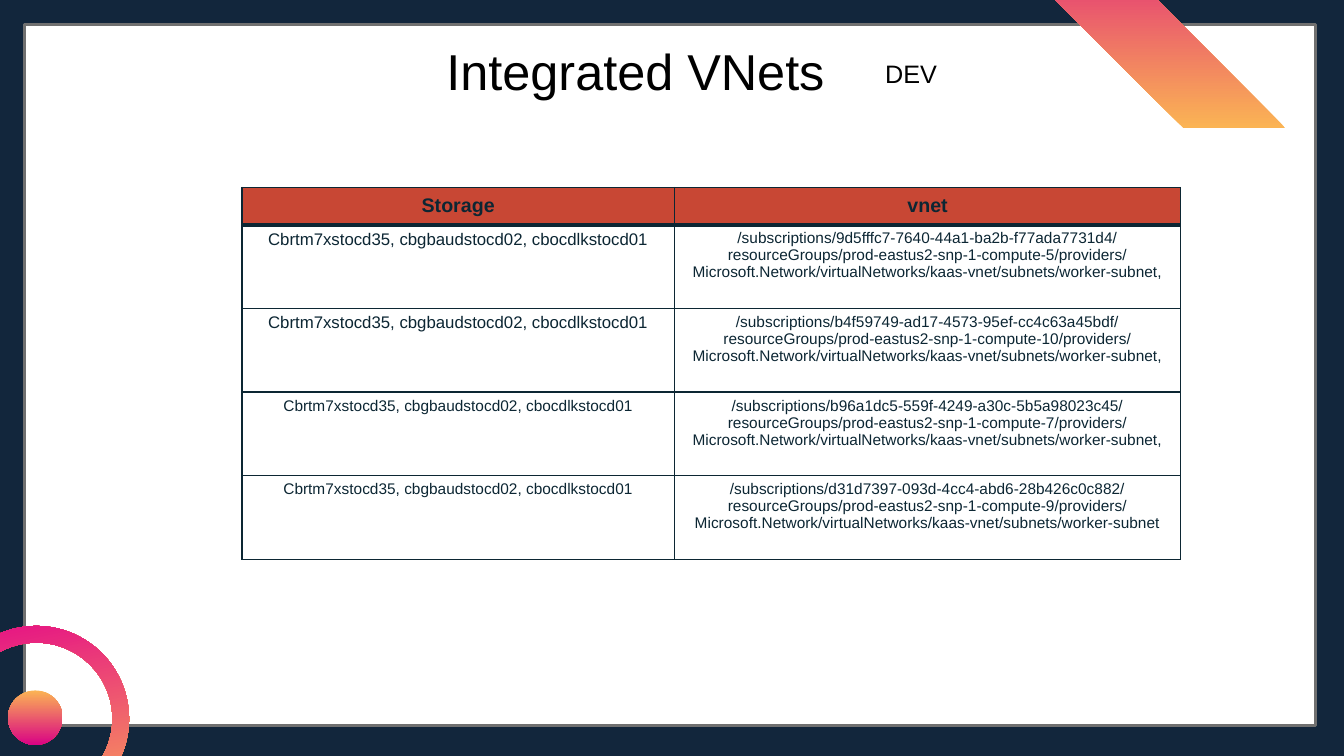
from dataclasses import dataclass

from lxml.etree import SubElement
from pptx import Presentation
from pptx.dml.color import RGBColor
from pptx.enum.shapes import MSO_SHAPE
from pptx.enum.text import MSO_ANCHOR, PP_ALIGN
from pptx.oxml.ns import qn
from pptx.util import Emu, Pt

EMU_PER_PX = 9144  # 100 px to the inch
FONT = "Arial"
NAVY = "12263C"
INK = "0C2633"
BRICK = "C84734"
ORANGE = "FBB454"
STORAGE = "Cbrtm7xstocd35, cbgbaudstocd02, cbocdlkstocd01"


@dataclass(frozen=True)
class Box:
    left: int
    top: int
    width: int
    height: int

    def emu(self) -> tuple:
        return tuple(map(px, (self.left, self.top, self.width, self.height)))


@dataclass(frozen=True)
class Ornament:
    preset: MSO_SHAPE
    box: Box
    end_color: str
    end_position: float = 1.0
    rotation: float = 0
    adjustment: float | None = None
    mirrored: bool = False


@dataclass(frozen=True)
class Label:
    text: str
    box: Box
    size: int
    anchor: MSO_ANCHOR
    line_spacing: float = 1.0


@dataclass(frozen=True)
class VnetRow:
    storage_size: int
    subscription: str
    compute: int
    ending: str = ","

    def vnet(self) -> str:
        return (f"/subscriptions/{self.subscription}/resourceGroups/"
                f"prod-eastus2-snp-1-compute-{self.compute}/providers/"
                f"Microsoft.Network/virtualNetworks/kaas-vnet/subnets/worker-subnet{self.ending}")


PANEL = Box(24, 24, 1281, 696)
ORNAMENTS = [
    Ornament(MSO_SHAPE.DONUT, Box(-56, 621, 184, 184), "E3028A",
             rotation=168.5, adjustment=0.09),
    Ornament(MSO_SHAPE.OVAL, Box(8, 685, 54, 54), "D90384"),
    Ornament(MSO_SHAPE.DIAGONAL_STRIPE, Box(989, -159, 286, 286), "D90384",
             end_position=0.81, rotation=180, adjustment=0.646, mirrored=True),
]
LABELS = [
    Label("Integrated VNets", Box(433, 16, 593, 116), 36, MSO_ANCHOR.MIDDLE, 0.9),
    Label("DEV", Box(868, 53, 212, 55), 18, MSO_ANCHOR.TOP),
]
TABLE_LEFT, TABLE_TOP = 240, 186
COLUMN_WIDTHS = [429, 502]
HEADER_HEIGHT, ROW_HEIGHT = 37, 83
HEADERS = ["Storage", "vnet"]
ROWS = [
    VnetRow(12, "9d5fffc7-7640-44a1-ba2b-f77ada7731d4", 5),
    VnetRow(12, "b4f59749-ad17-4573-95ef-cc4c63a45bdf", 10),
    VnetRow(11, "b96a1dc5-559f-4249-a30c-5b5a98023c45", 7),
    VnetRow(11, "d31d7397-093d-4cc4-abd6-28b426c0c882", 9, ""),
]


def px(length: int) -> Emu:
    return Emu(length * EMU_PER_PX)


def rgb(color: str) -> RGBColor:
    return RGBColor.from_string(color)


def style_text(paragraph, size: int, color: str, bold: bool = False) -> None:
    font = paragraph.font
    font.name, font.size, font.bold = FONT, Pt(size), bold
    font.color.rgb = rgb(color)


def draw_panel(slide) -> None:
    panel = slide.shapes.add_shape(MSO_SHAPE.RECTANGLE, *PANEL.emu())
    panel.shadow.inherit = False
    panel.fill.solid()
    panel.fill.fore_color.rgb = rgb("FFFFFF")
    panel.line.color.rgb = rgb("707070")
    panel.line.width = Pt(2)


def draw_ornament(slide, ornament: Ornament) -> None:
    shape = slide.shapes.add_shape(ornament.preset, *ornament.box.emu())
    shape.shadow.inherit = False
    shape.line.fill.background()
    shape.rotation = ornament.rotation
    if ornament.adjustment is not None:
        shape.adjustments[0] = ornament.adjustment
    if ornament.mirrored:
        shape._element.spPr.find(qn("a:xfrm")).set("flipH", "1")
    shape.fill.gradient()
    shape.fill.gradient_angle = 270
    start, end = shape.fill.gradient_stops
    start.color.rgb, start.position = rgb(ORANGE), 0
    end.color.rgb, end.position = rgb(ornament.end_color), ornament.end_position


def draw_label(slide, label: Label) -> None:
    frame = slide.shapes.add_textbox(*label.box.emu()).text_frame
    frame.word_wrap = True
    frame.vertical_anchor = label.anchor
    paragraph = frame.paragraphs[0]
    paragraph.text = label.text
    paragraph.line_spacing = label.line_spacing
    style_text(paragraph, label.size, "000000")


def set_borders(cell, top: int = 1, bottom: int = 1) -> None:
    """Draw the four cell borders; call before setting the cell's fill."""
    properties = cell._tc.get_or_add_tcPr()
    for side, width in (("L", 1), ("R", 1), ("T", top), ("B", bottom)):
        line = SubElement(properties, qn(f"a:ln{side}"), w=str(Pt(width)))
        fill = SubElement(line, qn("a:solidFill"))
        SubElement(fill, qn("a:srgbClr"), val=INK)


def fill_cell(cell, text: str, size: int, bold: bool = False) -> None:
    paragraph = cell.text_frame.paragraphs[0]
    paragraph.text = text
    paragraph.alignment = PP_ALIGN.CENTER
    style_text(paragraph, size, INK, bold)


def draw_table(slide) -> None:
    box = Box(TABLE_LEFT, TABLE_TOP, sum(COLUMN_WIDTHS),
              HEADER_HEIGHT + ROW_HEIGHT * len(ROWS))
    table = slide.shapes.add_table(len(ROWS) + 1, len(HEADERS), *box.emu()).table
    table.first_row = table.horz_banding = False
    for column, width in zip(table.columns, COLUMN_WIDTHS):
        column.width = px(width)
    for index, row in enumerate(table.rows):
        row.height = px(ROW_HEIGHT if index else HEADER_HEIGHT)

    for cell, header in zip(table.rows[0].cells, HEADERS):
        set_borders(cell, bottom=3)
        cell.fill.solid()
        cell.fill.fore_color.rgb = rgb(BRICK)
        cell.vertical_anchor = MSO_ANCHOR.MIDDLE
        fill_cell(cell, header, 14, bold=True)

    for index, row in enumerate(ROWS, start=1):
        contents = [(STORAGE, row.storage_size), (row.vnet(), 11)]
        for cell, (text, size) in zip(table.rows[index].cells, contents):
            set_borders(cell, top=3 if index == 1 else 1)
            cell.fill.background()
            fill_cell(cell, text, size)


def main() -> None:
    presentation = Presentation()
    presentation.slide_width, presentation.slide_height = px(1333), px(750)
    slide = presentation.slides.add_slide(presentation.slide_layouts[6])
    slide.background.fill.solid()
    slide.background.fill.fore_color.rgb = rgb(NAVY)
    draw_panel(slide)
    for ornament in ORNAMENTS:
        draw_ornament(slide, ornament)
    for label in LABELS:
        draw_label(slide, label)
    draw_table(slide)
    presentation.save("out.pptx")


if __name__ == "__main__":
    main()
